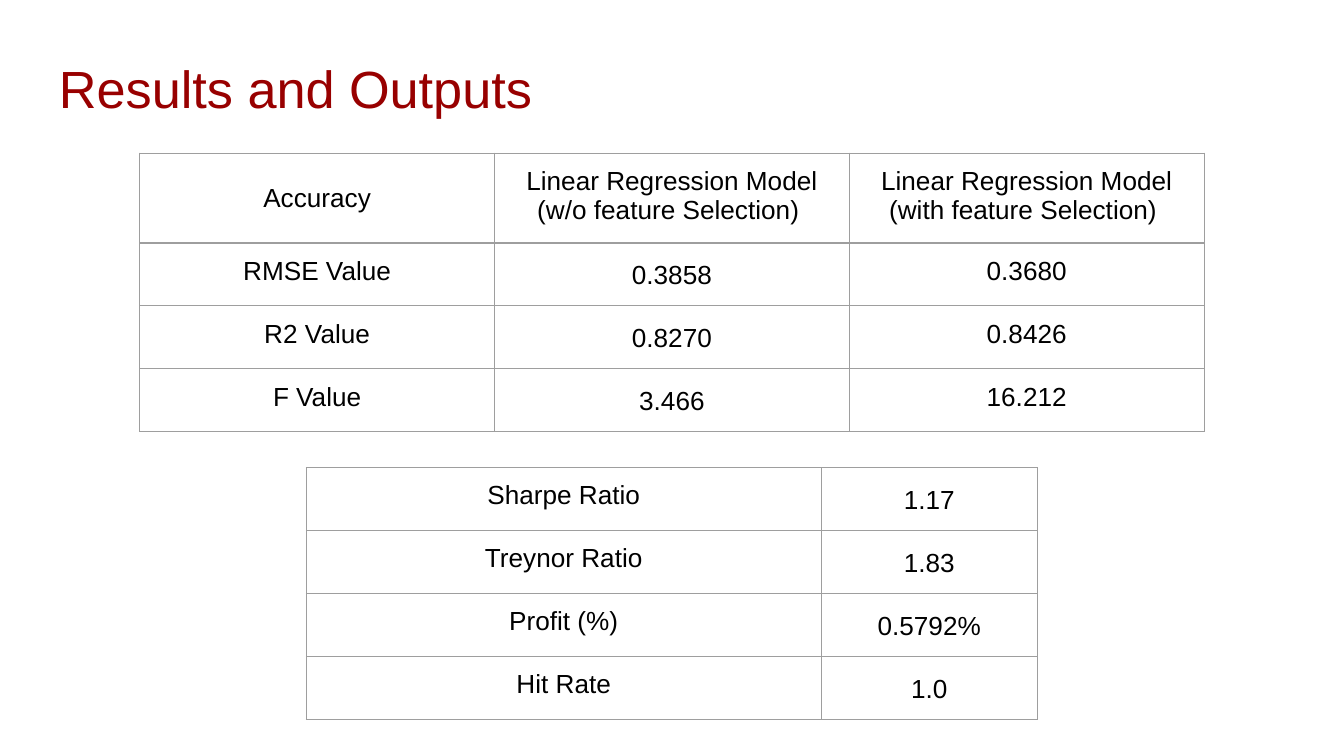
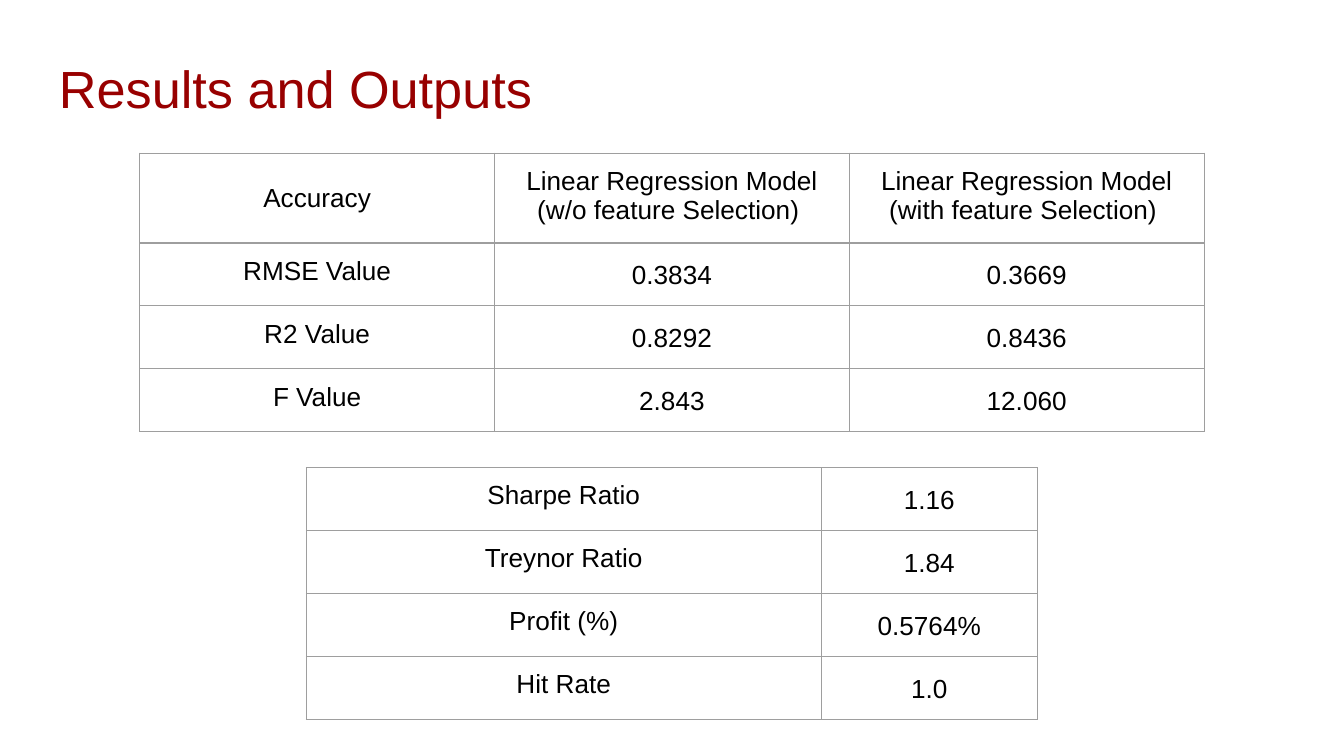
from lxml import etree
from pptx import Presentation
from pptx.dml.color import RGBColor
from pptx.enum import text
from pptx.oxml import ns
from pptx.util import Inches, Pt

RED = RGBColor(0x98, 0x00, 0x00)
BLACK = RGBColor(0x00, 0x00, 0x00)
GRAY = RGBColor(0x9E, 0x9E, 0x9E)
FONT = "Arial"
PADDING = Inches(0.1)
FRAME_SIZE = Inches(3.28)

ACCURACY_HEADER = (
    "Accuracy",
    "Linear Regression Model\n(w/o feature Selection) ",
    "Linear Regression Model\n(with feature Selection) ",
)
ACCURACY_MEASURES = ("RMSE Value", "R2 Value", "F Value")
TRADING_MEASURES = ("Sharpe Ratio", "Treynor Ratio", "Profit (%)", "Hit Rate")

# One entry per slide: accuracy without and with selection, trading values,
# and the accuracy columns that have loose line spacing.
RESULTS = (
    (("0.3858", "0.8270", "3.466"), ("0.3680", "0.8426", "16.212"),
     ("1.17", "1.83", "0.5792%", "1.0"), (1,)),
    (("0.3834", "0.8292", "2.843"), ("0.3669", "0.8436", "12.060"),
     ("1.16", "1.84", "0.5764%", "1.0"), (1, 2)),
)


def set_padding(target):
    target.margin_left = target.margin_right = PADDING
    target.margin_top = target.margin_bottom = PADDING


def set_borders(cell, color, width):
    properties = cell._tc.get_or_add_tcPr()
    for position, side in enumerate(("lnL", "lnR", "lnT", "lnB")):
        line = etree.Element(ns.qn(f"a:{side}"), w=str(Pt(width)))
        fill = etree.SubElement(line, ns.qn("a:solidFill"))
        etree.SubElement(fill, ns.qn("a:srgbClr"), val=str(color))
        properties.insert(position, line)


class ResultsDeck:
    """Holds the deck, its style and the current slide."""

    def __init__(self):
        self.deck = Presentation()
        self.deck.slide_width = Inches(10)
        self.deck.slide_height = Inches(10) * 9 // 16
        self.page = None

    def add_page(self, title):
        self.page = self.deck.slides.add_slide(self.deck.slide_layouts[6])
        self.add_title(title)

    def style(self, paragraph, size, color):
        for span in paragraph.runs:
            span.font.name = FONT
            span.font.size = Pt(size)
            span.font.color.rgb = color

    def add_title(self, title):
        box = self.page.shapes.add_textbox(
            Inches(0.34), Inches(0.32), Inches(9.32), Inches(0.63))
        frame = box.text_frame
        frame.word_wrap = True
        set_padding(frame)
        frame.text = title
        self.style(frame.paragraphs[0], 28, RED)

    def add_table(self, left, top, widths, row_height, rows, loose_columns,
                  has_header=False):
        """Add a bordered table whose rows grow to fit their text.

        Loose columns get wider line spacing below the header.
        """
        frame = self.page.shapes.add_table(
            len(rows), len(widths), Inches(left), Inches(top),
            FRAME_SIZE, FRAME_SIZE)
        table = frame.table
        table.first_row = table.horz_banding = False
        for column, width in zip(table.columns, widths):
            column.width = Inches(width)
        for row in table.rows:
            row.height = Inches(row_height)
        frame.width = frame.height = FRAME_SIZE
        for i, values in enumerate(rows):
            is_header = has_header and i == 0
            for j, value in enumerate(values):
                loose = j in loose_columns and not is_header
                self.fill_cell(table.cell(i, j), value, loose)
        if has_header:
            table.cell(0, 0).vertical_anchor = text.MSO_ANCHOR.MIDDLE

    def fill_cell(self, cell, value, loose):
        cell.text_frame.text = value
        set_padding(cell)
        cell.fill.background()
        set_borders(cell, GRAY, 0.75)
        for paragraph in cell.text_frame.paragraphs:
            paragraph.alignment = text.PP_ALIGN.CENTER
            if loose:
                paragraph.line_spacing = 1.15
            self.style(paragraph, 14, BLACK)


def main():
    results = ResultsDeck()
    for without_selection, with_selection, trading, loose_columns in RESULTS:
        results.add_page("Results and Outputs")
        accuracy = zip(ACCURACY_MEASURES, without_selection, with_selection)
        results.add_table(1.04, 1.14, [2.64] * 3, 0.42,
                          [ACCURACY_HEADER, *accuracy], loose_columns,
                          has_header=True)
        results.add_table(2.28, 3.48, [3.83, 1.61], 0.43,
                          list(zip(TRADING_MEASURES, trading)), (1,))
    results.deck.save("out.pptx")


if __name__ == "__main__":
    main()
